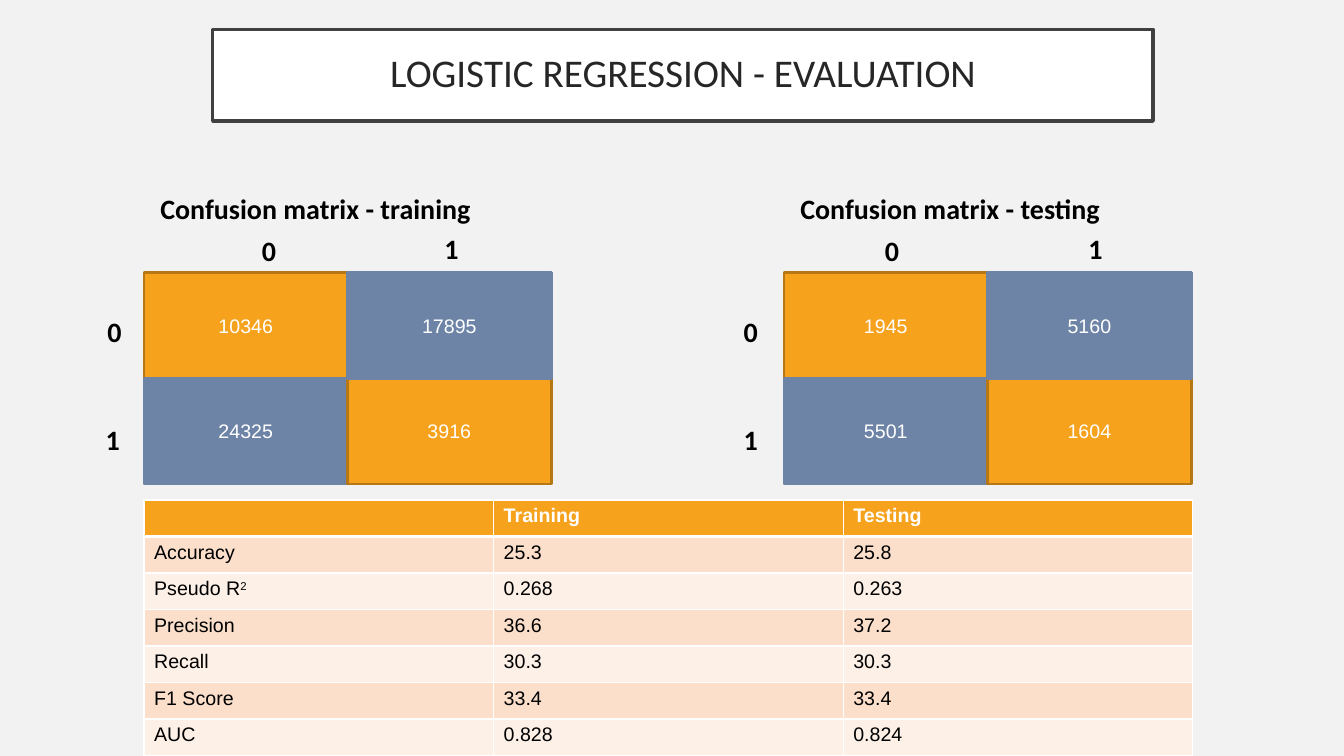
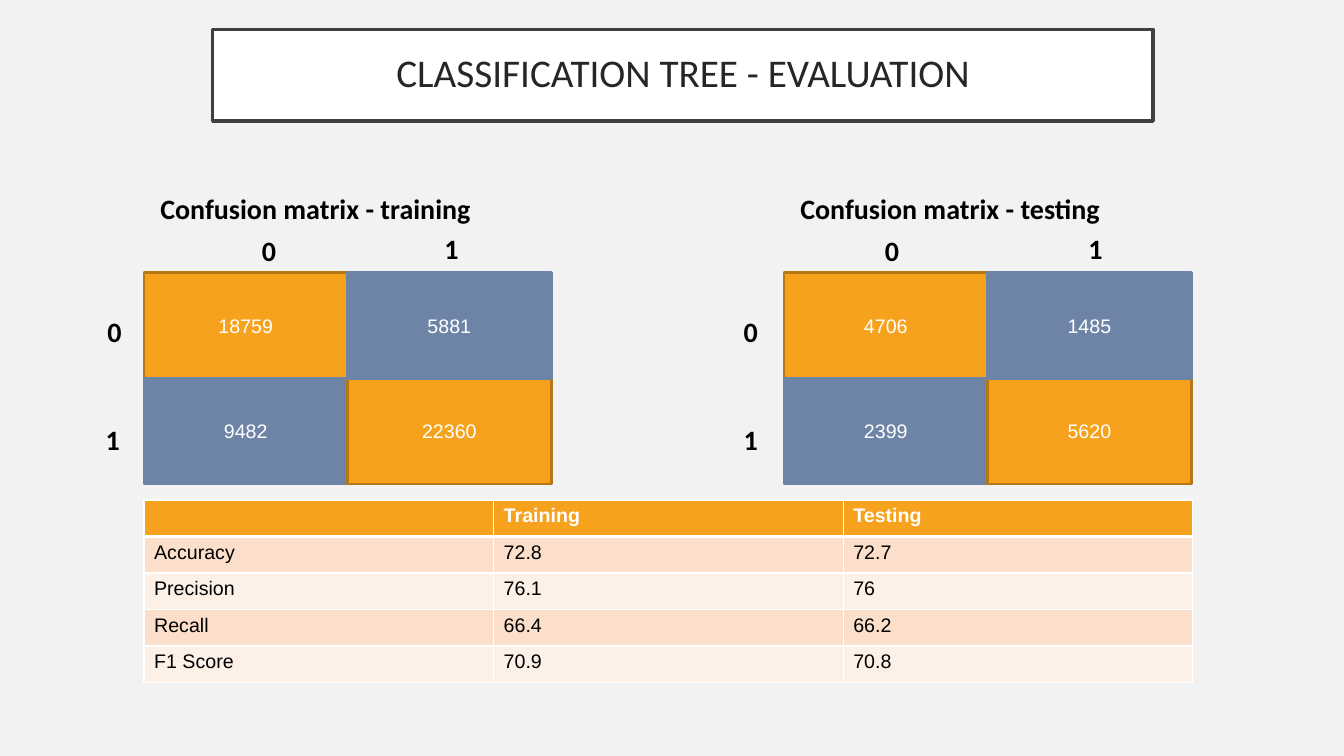
from dataclasses import dataclass

from lxml.etree import SubElement
from pptx import Presentation
from pptx.dml.color import RGBColor
from pptx.enum.shapes import MSO_SHAPE
from pptx.enum.text import MSO_ANCHOR, MSO_AUTO_SIZE, PP_ALIGN
from pptx.oxml.ns import qn
from pptx.util import Cm, Pt


# Colours, fonts and type sizes
@dataclass(frozen=True)
class Theme:
    background: str = "F2F2F2"
    white: str = "FFFFFF"
    black: str = "000000"
    title_text: str = "262626"
    title_line: str = "404040"
    orange: str = "F6A21D"
    orange_line: str = "B67815"
    blue: str = "6D84A7"
    bands: tuple = ("FBDFCB", "FDF0E7")
    heading_font: str = "Calibri"
    body_font: str = "Arial"
    title_size: int = 28
    label_size: int = 20
    body_size: int = 14


# Horizontal label places are measured from the left side of the matrix
@dataclass(frozen=True)
class MatrixLayout:
    name: str
    left: float
    column_labels: tuple
    row_labels: tuple


MATRICES = (
    MatrixLayout("training", 3.63, (2.72, 7.32), (-1.17, -1.22)),
    MatrixLayout("testing", 19.76, (2.29, 7.42), (-1.27, -1.27)),
)
CELL_WIDTH, CELL_HEIGHT = 5.13, 2.67
MATRIX_TOP = 6.86
# Clockwise stacking decides which cell outlines lie on top
CELL_ORDER = ((0, 0), (1, 0), (1, 1), (0, 1))


class Deck:
    def __init__(self, theme):
        self.theme = theme
        self.presentation = Presentation()
        self.presentation.slide_width = Cm(33.87)
        self.presentation.slide_height = Cm(19.05)
        self.paint(self.presentation.slide_master.background.fill, theme.background)
        self.slide = None

    def paint(self, fill, color):
        fill.solid()
        fill.fore_color.rgb = RGBColor.from_string(color)

    def outline(self, shape, color, width):
        self.paint(shape.line.fill, color)
        shape.line.width = Pt(width)

    def add_run(self, paragraph, text, font, size, color, bold=False):
        run = paragraph.add_run()
        run.text = text
        run.font.name = font
        run.font.size = Pt(size)
        run.font.bold = bold
        run.font.color.rgb = RGBColor.from_string(color)
        return run

    # New slide with its framed title
    def add_slide(self, text):
        theme = self.theme
        self.slide = self.presentation.slides.add_slide(
            self.presentation.slide_layouts[5])
        title = self.slide.shapes.title
        title.left, title.top = Cm(5.36), Cm(0.74)
        title.width, title.height = Cm(23.7), Cm(2.31)
        self.paint(title.fill, theme.white)
        self.outline(title, theme.title_line, 2.5)
        frame = title.text_frame
        frame.auto_size = MSO_AUTO_SIZE.NONE
        frame.word_wrap = True
        frame.vertical_anchor = MSO_ANCHOR.MIDDLE
        frame.margin_left = frame.margin_right = Cm(0.5)
        frame.margin_top = frame.margin_bottom = Cm(0.5)
        paragraph = frame.paragraphs[0]
        paragraph.alignment = PP_ALIGN.CENTER
        paragraph.line_spacing = 0.9
        self.add_run(paragraph, text, theme.heading_font, theme.title_size,
                     theme.title_text)

    def add_label(self, text, left, top, width=1.65):
        box = self.slide.shapes.add_textbox(Cm(left), Cm(top), Cm(width), Cm(1.11))
        box.text_frame.word_wrap = True
        box.text_frame.auto_size = MSO_AUTO_SIZE.SHAPE_TO_FIT_TEXT
        self.add_run(box.text_frame.paragraphs[0], text, self.theme.heading_font,
                     self.theme.label_size, self.theme.black, bold=True)

    def add_matrix_cell(self, value, left, top, on_diagonal):
        theme = self.theme
        cell = self.slide.shapes.add_shape(
            MSO_SHAPE.RECTANGLE, Cm(left), Cm(top), Cm(CELL_WIDTH), Cm(CELL_HEIGHT))
        cell.shadow.inherit = False
        self.paint(cell.fill, theme.orange if on_diagonal else theme.blue)
        self.outline(cell, theme.orange_line if on_diagonal else theme.blue, 2)
        cell.text_frame.vertical_anchor = MSO_ANCHOR.MIDDLE
        paragraph = cell.text_frame.paragraphs[0]
        paragraph.alignment = PP_ALIGN.CENTER
        self.add_run(paragraph, str(value), theme.body_font, theme.body_size,
                     theme.white)

    # Heading, four cells, and class labels along two sides
    def add_matrix(self, layout, values):
        for row, column in CELL_ORDER:
            self.add_matrix_cell(values[row][column],
                                 layout.left + column * CELL_WIDTH,
                                 MATRIX_TOP + row * CELL_HEIGHT, row == column)
        self.add_label(f"Confusion matrix - {layout.name}", layout.left + 0.16,
                       4.7, 9.93)
        for index, offset in enumerate(layout.column_labels):
            self.add_label(str(index), layout.left + offset, 5.76 - 0.04 * index)
        for index, offset in enumerate(layout.row_labels):
            self.add_label(str(index), layout.left + offset, 7.8 + 2.73 * index)

    def add_cell_borders(self, cell, top, bottom):
        properties = cell._tc.get_or_add_tcPr()
        for side, width in (("L", 1), ("R", 1), ("T", top), ("B", bottom)):
            line = SubElement(properties, qn(f"a:ln{side}"), w=str(Pt(width)))
            fill = SubElement(line, qn("a:solidFill"))
            SubElement(fill, qn("a:srgbClr"), val=self.theme.white)

    def fill_table_cell(self, cell, text, row):
        theme = self.theme
        is_header = row == 0
        self.add_cell_borders(cell, 3 if row == 1 else 1, 3 if is_header else 1)
        self.paint(cell.fill, theme.orange if is_header else theme.bands[(row - 1) % 2])
        paragraph = cell.text_frame.paragraphs[0]
        base, _, superscript = text.partition("^")
        color = theme.white if is_header else theme.black
        style = (theme.body_font, theme.body_size, color, is_header)
        if base:
            self.add_run(paragraph, base, *style)
        else:
            SubElement(paragraph._p, qn("a:endParaRPr"), sz=str(theme.body_size * 100))
        if superscript:
            run = self.add_run(paragraph, superscript, *style)
            run._r.get_or_add_rPr().set("baseline", "30000")

    # Scores; "^" in a name starts a superscript
    def add_score_table(self, scores):
        rows = [("", "Training", "Testing"), *scores]
        row_height = Cm(0.92)
        table = self.slide.shapes.add_table(
            len(rows), 3, Cm(3.63), Cm(12.6), Cm(26.42), row_height * len(rows)).table
        table.horz_banding = False
        for column in table.columns:
            column.width = Cm(8.81)
        for row, texts in enumerate(rows):
            table.rows[row].height = row_height
            for column, text in enumerate(texts):
                self.fill_table_cell(table.cell(row, column), text, row)


# Title, training and testing matrices, scores
EVALUATIONS = (
    ("LOGISTIC REGRESSION - EVALUATION",
     (((10346, 17895), (24325, 3916)), ((1945, 5160), (5501, 1604))),
     (("Accuracy", "25.3", "25.8"),
      ("Pseudo R^2", "0.268", "0.263"),
      ("Precision", "36.6", "37.2"),
      ("Recall", "30.3", "30.3"),
      ("F1 Score", "33.4", "33.4"),
      ("AUC", "0.828", "0.824"))),
    ("CLASSIFICATION TREE - EVALUATION",
     (((18759, 5881), (9482, 22360)), ((4706, 1485), (2399, 5620))),
     (("Accuracy", "72.8", "72.7"),
      ("Precision", "76.1", "76"),
      ("Recall", "66.4", "66.2"),
      ("F1 Score", "70.9", "70.8"))),
)


def main():
    deck = Deck(Theme())
    for title, matrices, scores in EVALUATIONS:
        deck.add_slide(title)
        for layout, values in zip(MATRICES, matrices):
            deck.add_matrix(layout, values)
        deck.add_score_table(scores)
    deck.presentation.save("out.pptx")


if __name__ == "__main__":
    main()
